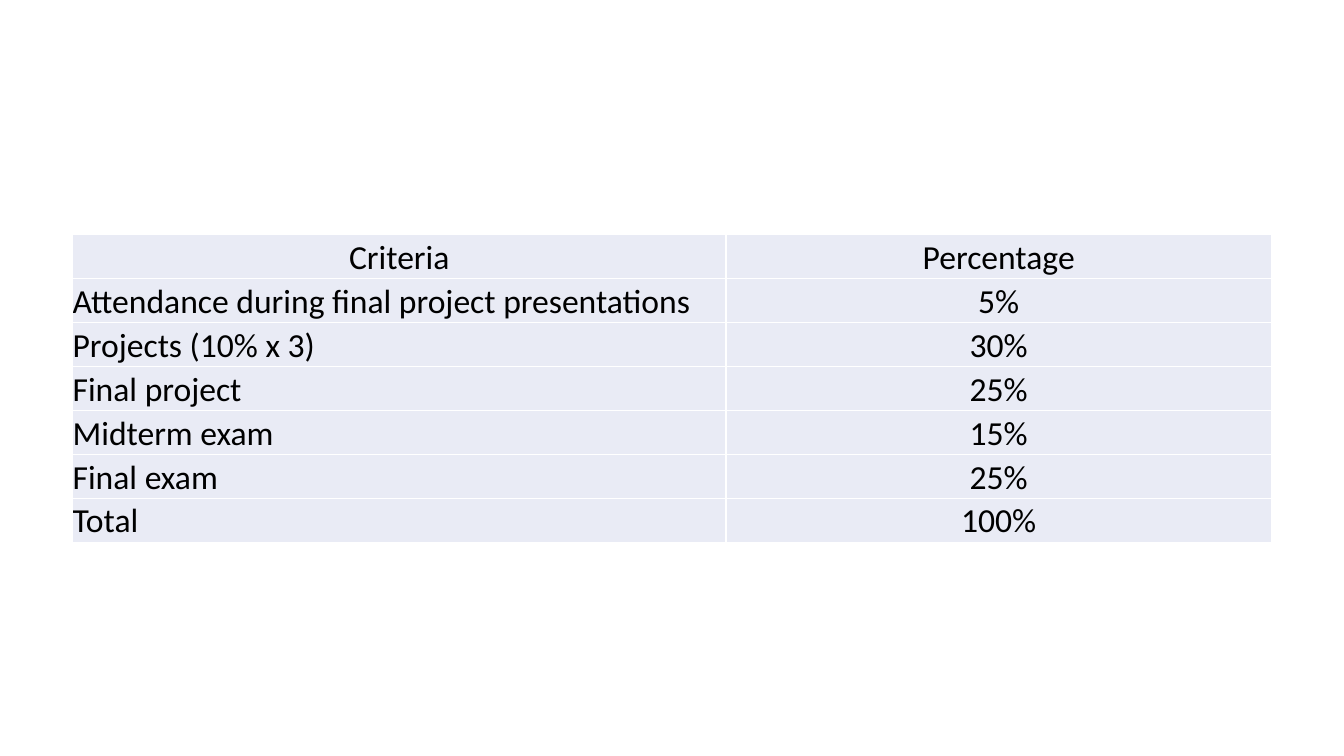
"""Build a slide with the grading criteria of a course in a table."""
from dataclasses import dataclass

from lxml import etree
from pptx import Presentation
from pptx import util as u
from pptx.dml.color import RGBColor
from pptx.enum import text
from pptx.oxml import ns
from pptx.table import Table, _Cell

PX = u.Inches(1) // 100
SLIDE_WIDTH, SLIDE_HEIGHT = 1333, 750
TABLE_LEFT, TABLE_TOP = 72, 233
COLUMN_WIDTHS = (648, 541)
ROW_HEIGHT = 41
COLORS = {"text": "000000", "cell": "E9EBF5", "border": "FFFFFF"}


@dataclass(frozen=True)
class GradeRow:
    criterion: str
    percentage: str
    is_header: bool = False


GRADE_ROWS = (
    GradeRow("Criteria", "Percentage", is_header=True),
    GradeRow("Attendance during final project presentations", "5%"),
    GradeRow("Projects (10% x 3)", "30%"),
    GradeRow("Final project", "25%"),
    GradeRow("Midterm exam", "15%"),
    GradeRow("Final exam", "25%"),
    GradeRow("Total", "100%"),
)


def add_borders(cell: _Cell) -> None:
    properties = cell._tc.get_or_add_tcPr()
    for side in ("lnL", "lnR", "lnT", "lnB"):
        line = etree.SubElement(properties, ns.qn(f"a:{side}"), w=str(u.Pt(1)))
        fill = etree.SubElement(line, ns.qn("a:solidFill"))
        etree.SubElement(fill, ns.qn("a:srgbClr"), val=COLORS["border"])


def format_cell(cell: _Cell, content: str, centred: bool) -> None:
    add_borders(cell)
    cell.fill.solid()
    cell.fill.fore_color.rgb = RGBColor.from_string(COLORS["cell"])
    cell.margin_left = cell.margin_right = cell.margin_top = cell.margin_bottom = 0
    cell.text_frame.text = content
    paragraph = cell.text_frame.paragraphs[0]
    paragraph.alignment = text.PP_ALIGN.CENTER if centred else text.PP_ALIGN.LEFT
    paragraph.line_spacing = 1.07
    font = paragraph.runs[0].font
    font.name = "Calibri"
    font.size = u.Pt(24)
    font.color.rgb = RGBColor.from_string(COLORS["text"])


def fill_table(table: Table) -> None:
    table.first_row = table.horz_banding = False
    for column, width in zip(table.columns, COLUMN_WIDTHS):
        column.width = width * PX
    for index, row in enumerate(GRADE_ROWS):
        format_cell(table.cell(index, 0), row.criterion, row.is_header)
        format_cell(table.cell(index, 1), row.percentage, True)


def main() -> None:
    presentation = Presentation()
    presentation.slide_width = SLIDE_WIDTH * PX
    presentation.slide_height = SLIDE_HEIGHT * PX
    slide = presentation.slides.add_slide(presentation.slide_layouts[6])
    frame = slide.shapes.add_table(
        len(GRADE_ROWS), len(COLUMN_WIDTHS), TABLE_LEFT * PX, TABLE_TOP * PX,
        sum(COLUMN_WIDTHS) * PX, len(GRADE_ROWS) * ROW_HEIGHT * PX)
    fill_table(frame.table)
    presentation.save("out.pptx")


if __name__ == "__main__":
    main()
